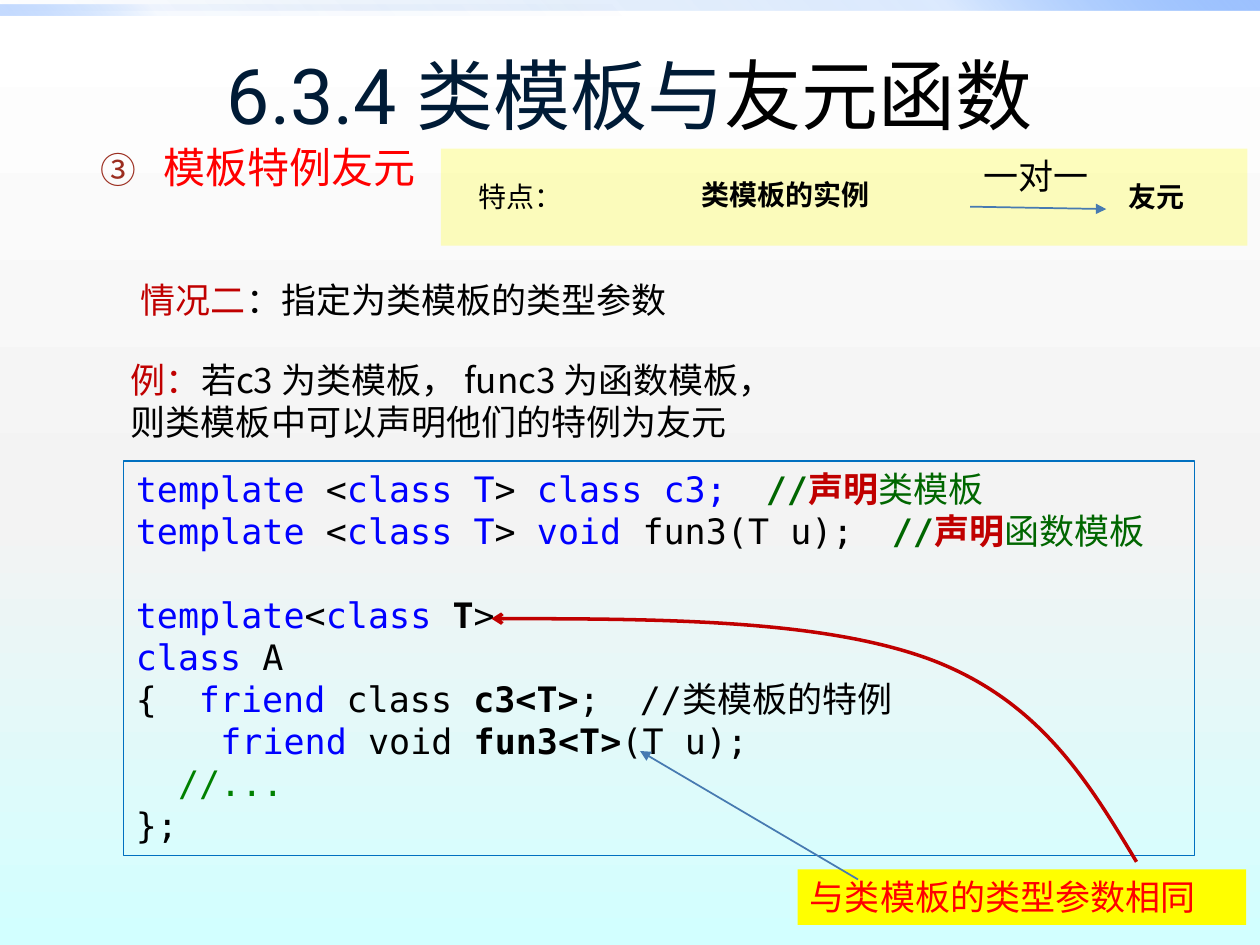
from dataclasses import dataclass, field
from typing import Any, NamedTuple

from lxml import etree
from pptx import Presentation
from pptx.dml.color import RGBColor
from pptx.enum.shapes import MSO_CONNECTOR, MSO_SHAPE
from pptx.enum.text import MSO_ANCHOR, PP_ALIGN
from pptx.oxml.ns import qn
from pptx.util import Emu, Inches, Pt

RECTANGLE = MSO_SHAPE.RECTANGLE
STRAIGHT = MSO_CONNECTOR.STRAIGHT
TOP, MIDDLE = MSO_ANCHOR.TOP, MSO_ANCHOR.MIDDLE
CENTER = PP_ALIGN.CENTER
WIDTH, HEIGHT = Inches(10), Inches(7.5)
ROBOTO, COMIC, MONO, CJK = "Roboto", "Comic Neue", "DejaVu Sans Mono", "Noto Sans CJK SC"
BLACK, RED, DARK_RED, YELLOW = "000000", "FF0000", "C00000", "FFFF00"
KEYWORD, REMARK, ELLIPSIS, STEEL = "0000FF", "006600", "008000", "477AB1"
INDENT = 0.35


class Place(NamedTuple):
    left: float
    top: float
    width: float
    height: float


class Span(NamedTuple):
    text: str
    color: str = BLACK
    bold: bool = False


class Stop(NamedTuple):
    position: int
    color: str
    opacity: int = 100


@dataclass
class Para:
    spans: list[Span]
    layout: dict[str, Any] = field(default_factory=dict)
    margin: float = 0
    hanging: float = 0
    tabs: tuple[float, ...] = ()
    number: int = 0


@dataclass
class TextBox:
    place: Place
    font: str
    size: int
    paras: list[Para]
    anchor: Any = TOP


def across(share: float) -> Emu:
    return Emu(round(WIDTH * share / 100))


def down(share: float) -> Emu:
    return Emu(round(HEIGHT * share / 100))


def frame(place: Place) -> tuple[Emu, Emu, Emu, Emu]:
    return across(place.left), down(place.top), across(place.width), down(place.height)


def hex_color(value: str) -> RGBColor:
    return RGBColor.from_string(value)


def child(parent: Any, tag: str, **attributes: Any) -> Any:
    return etree.SubElement(parent, qn(tag), {key: str(value) for key, value in attributes.items()})


def paint_gradient(fill: Any, element: Any, stops: list[Stop], angle: int) -> None:
    fill.gradient()
    gradient = element.find(".//" + qn("a:gradFill"))
    for part in list(gradient):
        gradient.remove(part)
    stop_list = child(gradient, "a:gsLst")
    for stop in stops:
        color = child(child(stop_list, "a:gs", pos=stop.position * 1000), "a:srgbClr", val=stop.color)
        child(color, "a:alpha", val=stop.opacity * 1000)
    child(gradient, "a:lin", ang=angle * 60000, scaled=0)


def add_rectangle(shapes: Any, place: Place, color: str = "", opacity: int = 100) -> Any:
    box = shapes.add_shape(RECTANGLE, *frame(place))
    box.shadow.inherit = False
    box.line.fill.background()
    if color:
        box.fill.solid()
        box.fill.fore_color.rgb = hex_color(color)
        child(box.element.find(".//" + qn("a:srgbClr")), "a:alpha", val=opacity * 1000)
    else:
        box.fill.background()
    return box


def write_para(para: Any, content: Para, font: str, size: int) -> None:
    properties = para._p.get_or_add_pPr()
    properties.set("marL", str(Inches(content.margin)))
    properties.set("indent", str(Inches(content.hanging)))
    if content.number:
        child(child(properties, "a:buClr"), "a:srgbClr", val="9B2D1F")
        child(properties, "a:buSzPct", val=85000)
        child(properties, "a:buAutoNum", type="circleNumDbPlain", startAt=content.number)
    if content.tabs:
        tab_list = child(properties, "a:tabLst")
        for position in content.tabs:
            child(tab_list, "a:tab", pos=Inches(position), algn="l")
    for name, value in content.layout.items():
        setattr(para, name, value)
    for item in content.spans:
        span = para.add_run()
        span.text = item.text
        for name, value in {"name": font, "size": Pt(size), "bold": item.bold}.items():
            setattr(span.font, name, value)
        span.font.color.rgb = hex_color(item.color)
        child(span._r.get_or_add_rPr(), "a:ea", typeface=CJK)


def write_text(box: Any, content: TextBox) -> None:
    text = box.text_frame
    text.word_wrap = True
    text.vertical_anchor = content.anchor
    for index, item in enumerate(content.paras):
        para = text.add_paragraph() if index else text.paragraphs[0]
        item.layout = {"alignment": PP_ALIGN.LEFT} | item.layout
        write_para(para, item, content.font, content.size)


def add_text(shapes: Any, content: TextBox) -> None:
    write_text(shapes.add_textbox(*frame(content.place)), content)


def style_line(shape: Any, color: str, width: float, head: str = "") -> None:
    shape.line.color.rgb = hex_color(color)
    shape.line.width = Pt(width)
    if head:
        child(shape.line._get_or_add_ln(), "a:tailEnd", type=head)


def add_arrow(shapes: Any, start: tuple[float, float], end: tuple[float, float]) -> None:
    arrow = shapes.add_connector(STRAIGHT, across(start[0]), down(start[1]), across(end[0]), down(end[1]))
    style_line(arrow, STEEL, 1, "triangle")
    child(arrow.element.spPr, "a:effectLst")


def add_curve(shapes: Any, points: list[tuple[float, float]]) -> None:
    start, *rest = [(across(x), down(y)) for x, y in points]
    builder = shapes.build_freeform(*start)
    builder.add_line_segments(rest, close=False)
    curve = builder.convert_to_shape()
    curve.shadow.inherit = False
    curve.fill.background()
    style_line(curve, DARK_RED, 2, "arrow")
    outline = curve.element.find(".//" + qn("a:path"))
    segments = outline.findall(qn("a:lnTo"))
    for first in range(0, len(segments), 3):
        bezier = child(outline, "a:cubicBezTo")
        for segment in segments[first:first + 3]:
            bezier.append(segment[0])
            outline.remove(segment)


def declaration(body: list[Span], subject: str) -> Para:
    header = [Span("template", KEYWORD), Span(" <"), Span("class T", KEYWORD), Span("> ")]
    remark = [Span("\t//", REMARK, True), Span("声明", DARK_RED, True), Span(subject, REMARK)]
    return Para(header + body + remark, tabs=(6.04,))


CODE = TextBox(Place(9.8, 48.8, 85, 41.73), MONO, 20, [
    declaration([Span("class c3;", KEYWORD)], "类模板"),
    declaration([Span("void", KEYWORD), Span(" fun3(T u);")], "函数模板"),
    Para([Span("template", KEYWORD), Span("<"), Span("class", KEYWORD), Span(" T", bold=True), Span(">")],
         {"space_before": Pt(24)}),
    Para([Span("class", KEYWORD), Span(" A")]),
    Para([Span("{\t"), Span("friend", KEYWORD), Span(" class "), Span("c3<T>", bold=True),
          Span(";\t//类模板的特例")], tabs=(0.67, 4.19)),
    Para([Span("    "), Span("friend", KEYWORD), Span(" void "), Span("fun3<T>", bold=True), Span("(T u);")]),
    Para([Span("  "), Span("//...", ELLIPSIS)]),
    Para([Span("};")]),
])
CALLOUT = TextBox(Place(63.3, 92, 35.6, 5.87), ROBOTO, 20, [Para([Span("与类模板的类型参数相同", RED)])])
BODY = [
    TextBox(Place(5, 1.6, 90, 16.67), ROBOTO, 44,
            [Para([Span("6.3.4 类模板与", "001B36"), Span("友元函数")], {"alignment": CENTER})], MIDDLE),
    TextBox(Place(5.9, 37.33, 69.2, 10.27), CJK, 20, [
        Para([Span("例：", DARK_RED), Span("若c3 为类模板， func3 为函数模板，")], margin=INDENT),
        Para([Span("则类模板中可以声明他们的特例为友元")], margin=INDENT)]),
    TextBox(Place(3.5, 14.27, 93.7, 6.67), COMIC, 24,
            [Para([Span("模板特例友元", RED)], margin=0.85, hanging=-0.5, number=3)]),
    TextBox(Place(6.7, 28.8, 52, 5.87), COMIC, 20,
            [Para([Span("情况二", DARK_RED), Span("：指定为类模板的类型参数")], margin=INDENT)]),
]
BANNER = [
    TextBox(Place(33.5, 16.53, 66.9, 9.47), COMIC, 16,
            [Para([Span("特点：")], {"line_spacing": 1.5}, INDENT)]),
    TextBox(Place(54.7, 18.13, 22.3, 6.67), COMIC, 16, [Para([Span("类模板的实例", bold=True)])]),
    TextBox(Place(85.1, 16.53, 12.3, 9.47), COMIC, 16,
            [Para([Span("友元", bold=True)], {"line_spacing": 1.5}, INDENT)]),
    TextBox(Place(77.1, 15.73, 16.8, 5.87), ROBOTO, 20, [Para([Span("一对一")])]),
]
STRIPES = [(Place(0, 0, 100, 1.07), (0, 20, 100), 315), (Place(0, 0.53, 50, 1.07), (0, 5, 60), 135)]
CURVE = [(90.2, 91.2), (86.4, 82.8), (82.6, 74.27), (74, 69.87), (65.5, 65.6), (52.2, 65.47), (39, 65.47)]


def main() -> None:
    deck = Presentation()
    deck.slide_width, deck.slide_height = WIDTH, HEIGHT
    slide = deck.slides.add_slide(deck.slide_layouts[6])
    shapes = slide.shapes
    paint_gradient(slide.background.fill, slide.element,
                   [Stop(0, "FFFFFF"), Stop(55, "F3F3F3"), Stop(100, "D2FFFF")], 90)
    for place, opacities, angle in STRIPES:
        stripe = add_rectangle(shapes, place)
        stops = [Stop(*stop) for stop in zip((0, 75, 100), ("0058B7", "4F95FF", "9EC2FF"), opacities)]
        paint_gradient(stripe.fill, stripe.element, stops, angle)
    code_box = add_rectangle(shapes, CODE.place)
    style_line(code_box, "0070C0", 0.75)
    write_text(code_box, CODE)
    write_text(add_rectangle(shapes, CALLOUT.place, YELLOW), CALLOUT)
    add_arrow(shapes, (68.1, 93.07), (50.8, 79.47))
    add_curve(shapes, CURVE)
    for content in BODY:
        add_text(shapes, content)
    banner = shapes.add_group_shape().shapes
    add_rectangle(banner, Place(35, 15.73, 64, 10.27), YELLOW, 25)
    for content in BANNER:
        add_text(banner, content)
    add_arrow(banner, (77, 21.87), (87.8, 22.13))
    deck.save("out.pptx")


if __name__ == "__main__":
    main()
